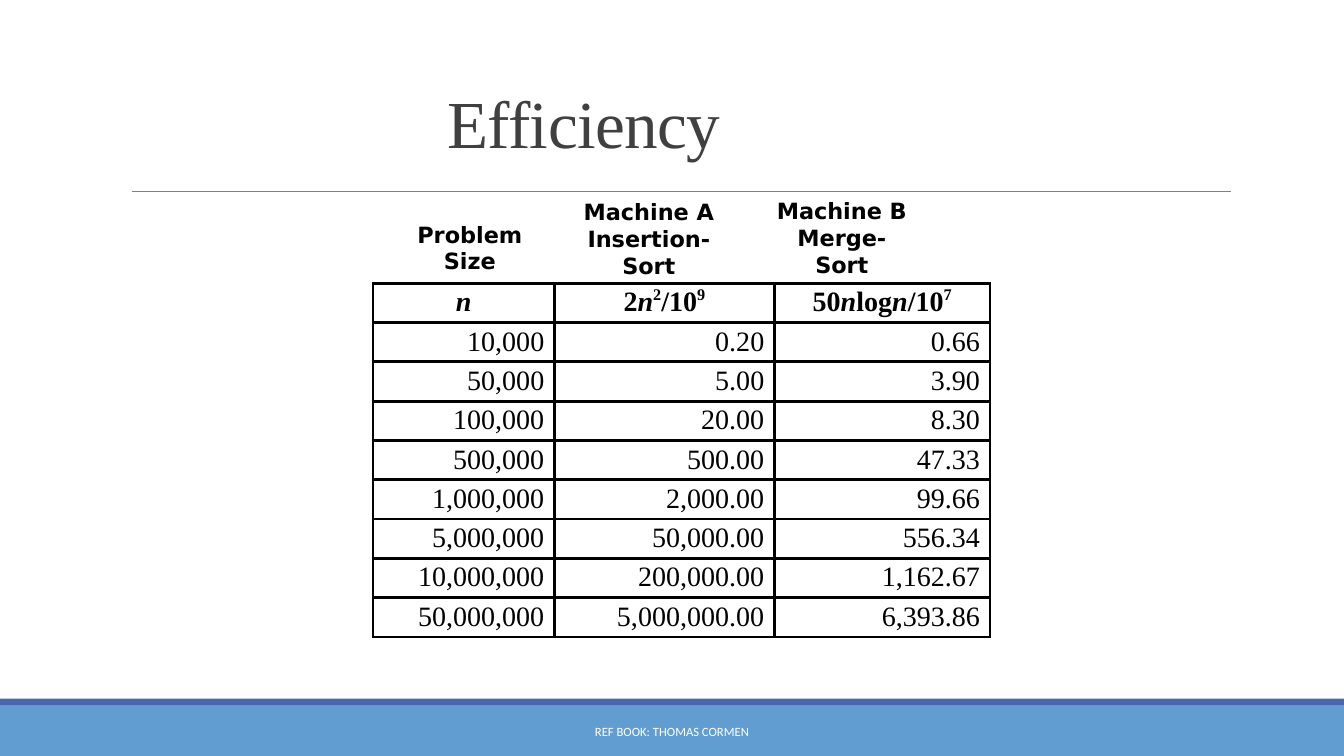
from dataclasses import dataclass

from lxml import etree
from pptx import Presentation
from pptx.dml.color import RGBColor
from pptx.enum.shapes import MSO_CONNECTOR, MSO_SHAPE
from pptx.enum.text import MSO_ANCHOR, PP_ALIGN
from pptx.oxml.ns import qn
from pptx.util import Inches, Pt

TOP, MIDDLE, BOTTOM = MSO_ANCHOR.TOP, MSO_ANCHOR.MIDDLE, MSO_ANCHOR.BOTTOM
CENTER, RIGHT = PP_ALIGN.CENTER, PP_ALIGN.RIGHT
RECTANGLE, STRAIGHT = MSO_SHAPE.RECTANGLE, MSO_CONNECTOR.STRAIGHT

SLIDE_WIDTH, SLIDE_HEIGHT = Inches(13.33), Inches(7.5)
COLORS = {
    "footer": "629DD1",
    "stripe": "4A66AC",
    "rule": "808080",
    "title": "404040",
    "ink": "000000",
    "white": "FFFFFF",
}
SERIF, SANS, FOOTER_FONT = "Times New Roman", "DejaVu Sans", "Calibri"


@dataclass(frozen=True)
class Area:
    """A rectangle in percent of the slide's width and height."""
    left: float
    top: float
    width: float
    height: float

    def lengths(self) -> tuple[int, int, int, int]:
        return (across(self.left), down(self.top),
                across(self.width), down(self.height))


@dataclass(frozen=True)
class Bar:
    area: Area
    color: str


@dataclass(frozen=True)
class Label:
    text: str
    area: Area
    size: float
    font: str
    color: str = "ink"
    bold: bool = False
    anchor: MSO_ANCHOR = TOP
    line_spacing: float = 1.0
    tracking: int = 0


@dataclass(frozen=True)
class Span:
    text: str
    italic: bool = False
    raised: bool = False


BARS = [
    Bar(Area(0, 93.33, 100, 6.67), "footer"),
    Bar(Area(0, 92.4, 100, 0.93), "stripe"),
]
RULE = Area(9.83, 25.33, 81.77, 0)
LABELS = [
    Label("Efficiency", Area(6.3, 4.4, 74.27, 17.73), 48, SERIF, "title",
          anchor=BOTTOM, line_spacing=0.85, tracking=-50),
    Label("Problem Size", Area(29.33, 28.53, 11.25, 8.53), 16, SANS, bold=True),
    Label("Machine A\vInsertion- Sort", Area(41.64, 25.6, 13.28, 12), 16, SANS, bold=True),
    Label("Machine B\vMerge- Sort", Area(57.01, 25.47, 11.25, 12), 16, SANS, bold=True),
    Label("REF BOOK: THOMAS CORMEN", Area(30.23, 94.13, 39.53, 5.33), 9,
          FOOTER_FONT, "white", anchor=MIDDLE),
]

TABLE_LEFT, TABLE_TOP, ROW_HEIGHT = 27.75, 37.47, 5.2
COLUMN_WIDTHS = [13.5, 16.37, 16.05]
FORMULAS = [
    [Span("n", italic=True)],
    [Span("2"), Span("n", italic=True), Span("2", raised=True),
     Span("/10"), Span("9", raised=True)],
    [Span("50"), Span("n", italic=True), Span("log"), Span("n", italic=True),
     Span("/10"), Span("7", raised=True)],
]
TIMINGS = [
    ("10,000", "0.20", "0.66"),
    ("50,000", "5.00", "3.90"),
    ("100,000", "20.00", "8.30"),
    ("500,000", "500.00", "47.33"),
    ("1,000,000", "2,000.00", "99.66"),
    ("5,000,000", "50,000.00", "556.34"),
    ("10,000,000", "200,000.00", "1,162.67"),
    ("50,000,000", "5,000,000.00", "6,393.86"),
]


def across(percent: float) -> int:
    return round(SLIDE_WIDTH * percent / 100)


def down(percent: float) -> int:
    return round(SLIDE_HEIGHT * percent / 100)


def rgb(name: str) -> RGBColor:
    return RGBColor.from_string(COLORS[name])


def style_font(font, name: str, size: float, color: str, bold: bool) -> None:
    font.name, font.size, font.bold = name, Pt(size), bold
    font.color.rgb = rgb(color)


def draw_bar(page, bar: Bar) -> None:
    shape = page.shapes.add_shape(RECTANGLE, *bar.area.lengths())
    shape.shadow.inherit = False
    shape.fill.solid()
    shape.fill.fore_color.rgb = rgb(bar.color)
    shape.line.fill.background()


def draw_rule(page, area: Area) -> None:
    left, top, width, height = area.lengths()
    line = page.shapes.add_connector(STRAIGHT, left, top, left + width, top + height)
    line.line.color.rgb = rgb("rule")
    line.line.width = Pt(0.5)
    etree.SubElement(line._element.spPr, qn("a:effectLst"))


def draw_label(page, label: Label) -> None:
    frame = page.shapes.add_textbox(*label.area.lengths()).text_frame
    frame.word_wrap = True
    frame.vertical_anchor = label.anchor
    frame.text = label.text
    para = frame.paragraphs[0]
    para.alignment = CENTER
    para.line_spacing = label.line_spacing
    for span in para.runs:
        style_font(span.font, label.font, label.size, label.color, label.bold)
        if label.tracking:
            span._r.get_or_add_rPr().set("spc", str(label.tracking))


def add_borders(cell) -> None:
    properties = cell._tc.get_or_add_tcPr()
    for position, side in enumerate(("lnL", "lnR", "lnT", "lnB")):
        border = etree.Element(qn(f"a:{side}"), w=str(Pt(2.25)))
        fill = etree.SubElement(border, qn("a:solidFill"))
        etree.SubElement(fill, qn("a:srgbClr"), val=COLORS["ink"])
        properties.insert(position, border)


def fill_cell(cell, spans: list[Span], alignment: PP_ALIGN, bold: bool) -> None:
    cell.fill.background()
    add_borders(cell)
    cell.vertical_anchor = BOTTOM
    para = cell.text_frame.paragraphs[0]
    para.alignment = alignment
    para.line_spacing = 0.9
    indent = Inches(0.51)
    para_properties = para._p.get_or_add_pPr()
    para_properties.set("marL", str(indent))
    para_properties.set("indent", str(-indent))
    for part in spans:
        span = para.add_run()
        span.text = part.text
        style_font(span.font, SERIF, 20, "ink", bold)
        span.font.italic = part.italic
        if part.raised:
            span._r.get_or_add_rPr().set("baseline", "40000")


def draw_timings(page) -> None:
    row_count = len(TIMINGS) + 1
    area = Area(TABLE_LEFT, TABLE_TOP, sum(COLUMN_WIDTHS), row_count * ROW_HEIGHT)
    table = page.shapes.add_table(row_count, len(COLUMN_WIDTHS), *area.lengths()).table
    table.first_row = table.horz_banding = False
    for column, width in zip(table.columns, COLUMN_WIDTHS):
        column.width = across(width)
    for row in table.rows:
        row.height = down(ROW_HEIGHT)
    for column, formula in enumerate(FORMULAS):
        fill_cell(table.cell(0, column), formula, CENTER, True)
    for row, timing in enumerate(TIMINGS, start=1):
        for column, value in enumerate(timing):
            fill_cell(table.cell(row, column), [Span(value)], RIGHT, False)


def main() -> None:
    deck = Presentation()
    deck.slide_width, deck.slide_height = SLIDE_WIDTH, SLIDE_HEIGHT
    page = deck.slides.add_slide(deck.slide_layouts[6])
    for bar in BARS:
        draw_bar(page, bar)
    draw_rule(page, RULE)
    draw_timings(page)
    for label in LABELS:
        draw_label(page, label)
    deck.save("out.pptx")


if __name__ == "__main__":
    main()
